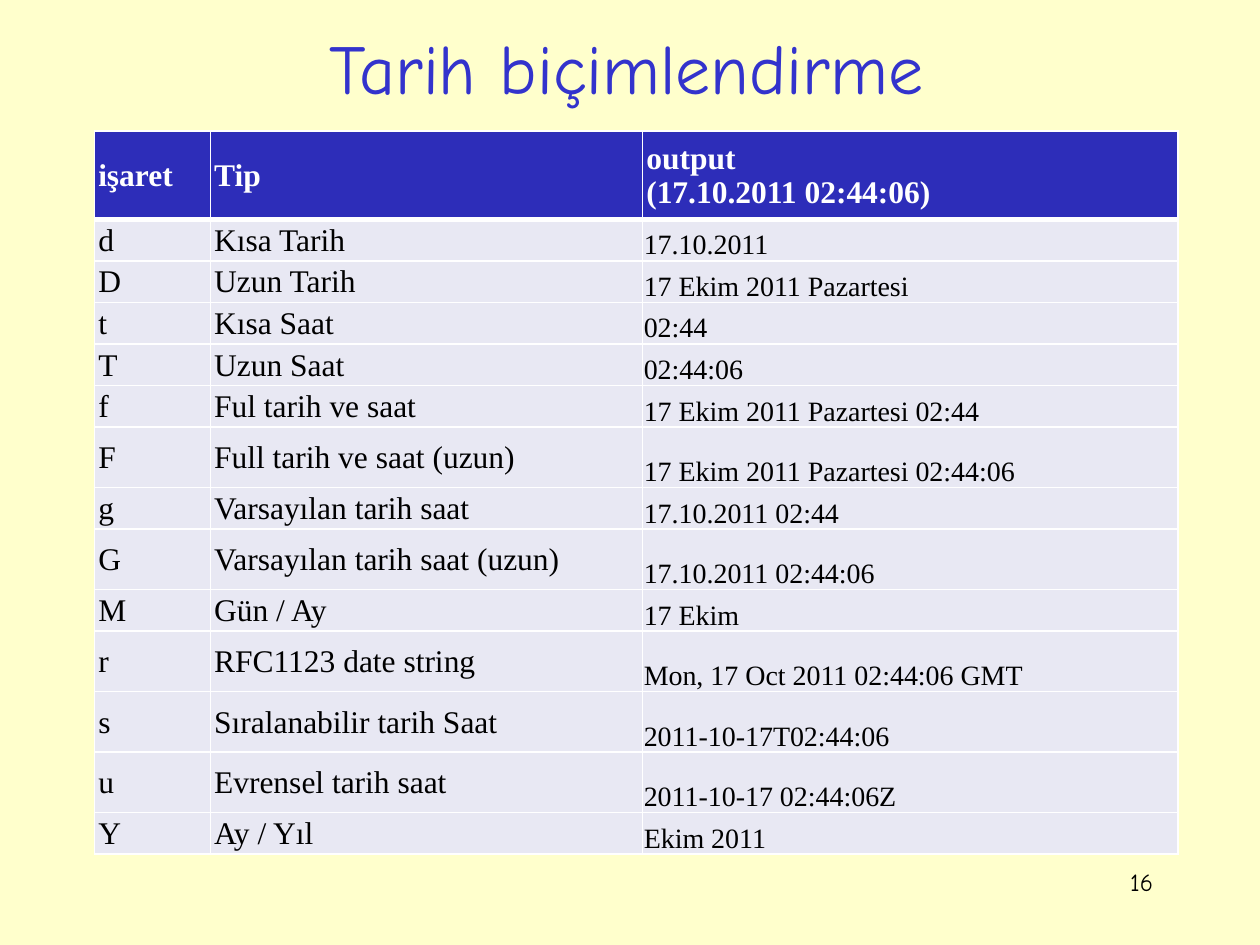
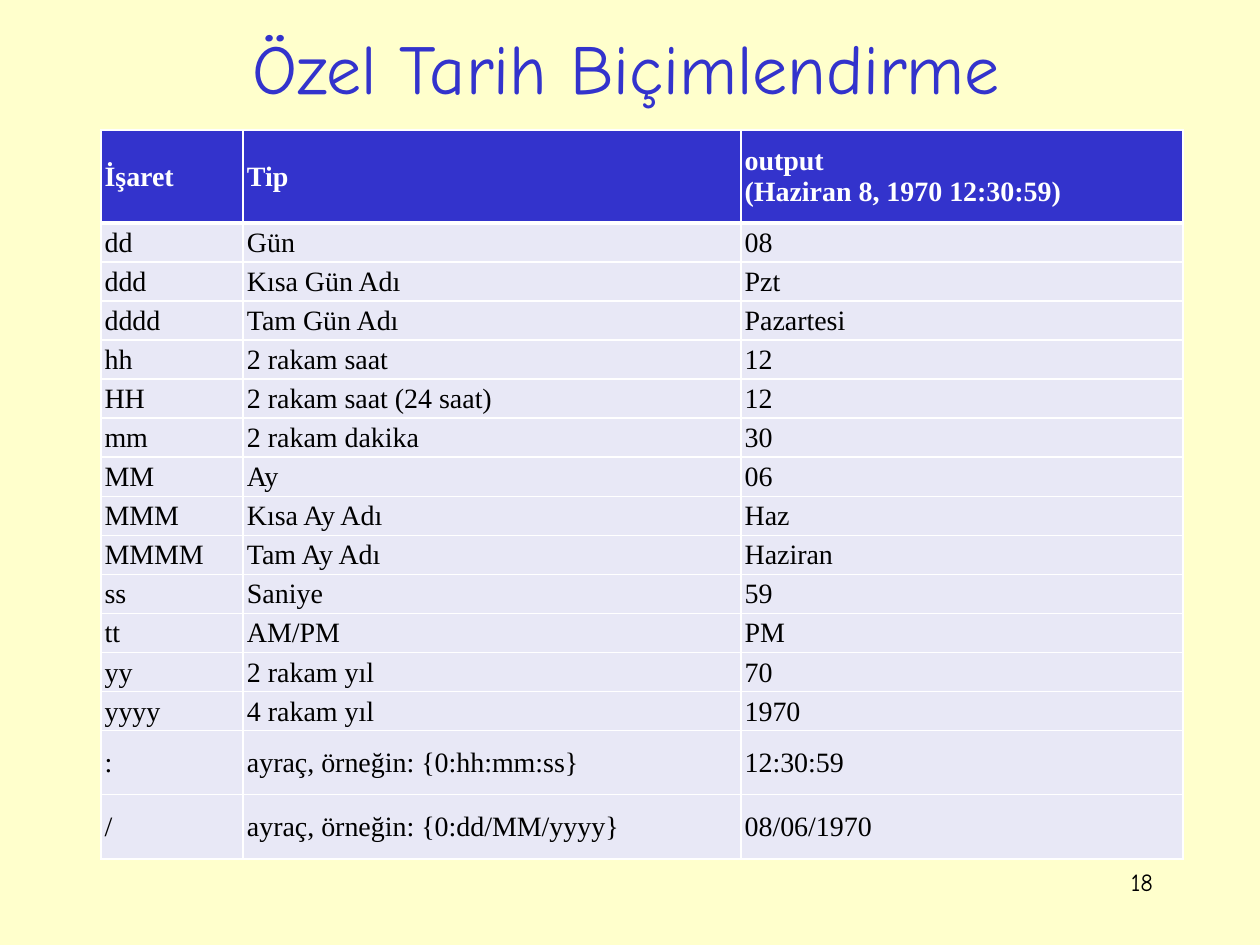
"""Build two slides of date format tables that share one title and table style."""
import dataclasses
import typing

import lxml.etree
import pptx
import pptx.dml.color
import pptx.enum.text
import pptx.oxml.ns
import pptx.presentation
import pptx.slide
import pptx.table
import pptx.text.text
import pptx.util

Inches = pptx.util.Inches
Pt = pptx.util.Pt
RGBColor = pptx.dml.color.RGBColor
Align = pptx.enum.text.PP_ALIGN
Anchor = pptx.enum.text.MSO_ANCHOR

CREAM = RGBColor(0xFF, 0xFF, 0xCC)
BLUE = RGBColor(0x33, 0x33, 0xCC)
DEEP_BLUE = RGBColor(0x2D, 0x2D, 0xB9)
PALE_BLUE = RGBColor(0xE8, 0xE8, 0xF6)
PALE_GREY = RGBColor(0xE8, 0xE8, 0xF3)
WHITE = RGBColor(0xFF, 0xFF, 0xFF)
BLACK = RGBColor(0x00, 0x00, 0x00)
HEADING_FONT = "Comic Neue"
TABLE_FONT = "Times New Roman"
THIN, THICK = 1, 3


@dataclasses.dataclass(frozen=True)
class TextStyle:
    """Font settings of a run."""
    font: str
    size: int
    color: RGBColor
    bold: bool = False


@dataclasses.dataclass(frozen=True)
class CellLayout:
    """Vertical anchor and left, top, right, bottom margins in inches."""
    anchor: Anchor
    margins: tuple[float, float, float, float]


@dataclasses.dataclass(frozen=True)
class TextBox:
    """Place and style of a text that every slide has."""
    left: float
    top: float
    width: float
    height: float
    align: Align
    anchor: Anchor
    style: TextStyle


@dataclasses.dataclass(frozen=True)
class FormatTable:
    """A table of format signs, with its place, colours and row heights."""
    left: float
    top: float
    widths: tuple[float, ...]
    header_height: float
    row_height: float
    tall_height: float
    tall_signs: str
    header_fill: RGBColor
    body_fill: RGBColor
    size: int
    output_size: int
    output_layout: CellLayout
    rows: tuple[tuple[str, str, str], ...]

    def heights(self) -> list[float]:
        """Return the height of every row, the header first."""
        body = [self.tall_height if sign in self.tall_signs else self.row_height
                for sign, _, _ in self.rows[1:]]
        return [self.header_height, *body]


@dataclasses.dataclass(frozen=True)
class FormatPage:
    """One slide: its title, its number and its table."""
    title: str
    number: str
    table: FormatTable


TITLE = TextBox(0.72, 0.15, 8.5, 0.76, Align.CENTER, Anchor.MIDDLE,
                TextStyle(HEADING_FONT, 40, BLUE))
PAGE_NUMBER = TextBox(7.17, 6.83, 2.08, 0.5, Align.RIGHT, Anchor.TOP,
                      TextStyle(HEADING_FONT, 14, BLACK))
PADDED = CellLayout(Anchor.MIDDLE, (0.03, 0.02, 0.03, 0.01))
TIGHT = CellLayout(Anchor.BOTTOM, (0.01, 0.01, 0.01, 0))

STANDARD_FORMATS = FormatTable(
    0.75, 1.04, (0.92, 3.43, 4.25), 0.7, 0.26, 0.48, "FGrsu",
    DEEP_BLUE, PALE_GREY, 18, 16, TIGHT, (
        ("işaret", "Tip", "output\n(17.10.2011 02:44:06)"),
        ("d", "Kısa Tarih", "17.10.2011"),
        ("D", "Uzun Tarih", "17 Ekim 2011 Pazartesi"),
        ("t", "Kısa Saat", "02:44"),
        ("T", "Uzun Saat", "02:44:06"),
        ("f", "Ful tarih ve saat", "17 Ekim 2011 Pazartesi 02:44"),
        ("F", "Full tarih ve saat (uzun)", "17 Ekim 2011 Pazartesi 02:44:06"),
        ("g", "Varsayılan tarih saat", "17.10.2011 02:44"),
        ("G", "Varsayılan tarih saat (uzun)", "17.10.2011 02:44:06"),
        ("M", "Gün / Ay", "17 Ekim"),
        ("r", "RFC1123 date string", "Mon, 17 Oct 2011 02:44:06 GMT"),
        ("s", "Sıralanabilir tarih Saat", "2011-10-17T02:44:06"),
        ("u", "Evrensel tarih saat", "2011-10-17 02:44:06Z"),
        ("Y", "Ay / Yıl", "Ekim 2011"),
    ))
CUSTOM_FORMATS = FormatTable(
    0.8, 1.03, (1.13, 3.95, 3.51), 0.74, 0.31, 0.51, ":/",
    BLUE, PALE_BLUE, 16, 16, PADDED, (
        ("İşaret", "Tip", "output\n(Haziran 8, 1970 12:30:59)"),
        ("dd", "Gün", "08"),
        ("ddd", "Kısa Gün Adı", "Pzt"),
        ("dddd", "Tam Gün Adı", "Pazartesi"),
        ("hh", "2 rakam saat", "12"),
        ("HH", "2 rakam saat (24 saat)", "12"),
        ("mm", "2 rakam dakika", "30"),
        ("MM", "Ay", "06"),
        ("MMM", "Kısa Ay Adı", "Haz"),
        ("MMMM", "Tam Ay Adı", "Haziran"),
        ("ss", "Saniye", "59"),
        ("tt", "AM/PM", "PM"),
        ("yy", "2 rakam yıl", "70"),
        ("yyyy", "4 rakam yıl", "1970"),
        (":", "ayraç, örneğin: {0:hh:mm:ss}", "12:30:59"),
        ("/", "ayraç, örneğin: {0:dd/MM/yyyy}", "08/06/1970"),
    ))
PAGES = (
    FormatPage("Tarih biçimlendirme", "16", STANDARD_FORMATS),
    FormatPage("Özel Tarih Biçimlendirme", "18", CUSTOM_FORMATS),
)


def write_text(frame: pptx.text.text.TextFrame, text: str, style: TextStyle,
               align: Align = Align.LEFT) -> None:
    """Write the lines of a text as styled runs of one paragraph."""
    para = frame.paragraphs[0]
    para.alignment = align
    for index, line in enumerate(text.split("\n")):
        if index:
            para.add_line_break()
        span = para.add_run()
        span.text = line
        span.font.name = style.font
        span.font.size = Pt(style.size)
        span.font.bold = style.bold
        span.font.color.rgb = style.color


def add_text(page: pptx.slide.Slide, place: TextBox, text: str) -> None:
    """Add a text box at its shared place."""
    box = page.shapes.add_textbox(Inches(place.left), Inches(place.top),
                                  Inches(place.width), Inches(place.height))
    frame = box.text_frame
    frame.word_wrap = True
    frame.vertical_anchor = place.anchor
    write_text(frame, text, place.style, place.align)


def set_borders(cell: typing.Any, top: int, bottom: int) -> None:
    """Give a cell white borders, with the top and bottom widths in points."""
    properties = cell._tc.get_or_add_tcPr()
    widths = {"a:lnL": THIN, "a:lnR": THIN, "a:lnT": top, "a:lnB": bottom}
    for index, (tag, width) in enumerate(widths.items()):
        line = lxml.etree.Element(pptx.oxml.ns.qn(tag), w=str(Pt(width)))
        fill = lxml.etree.SubElement(line, pptx.oxml.ns.qn("a:solidFill"))
        lxml.etree.SubElement(fill, pptx.oxml.ns.qn("a:srgbClr"), val=str(WHITE))
        properties.insert(index, line)


def fill_cell(cell: typing.Any, text: str, style: TextStyle,
              layout: CellLayout, color: RGBColor) -> None:
    """Set the text, the margins and the fill of a cell."""
    cell.vertical_anchor = layout.anchor
    (cell.margin_left, cell.margin_top,
     cell.margin_right, cell.margin_bottom) = map(Inches, layout.margins)
    cell.fill.solid()
    cell.fill.fore_color.rgb = color
    write_text(cell.text_frame, text, style)


def add_format_table(page: pptx.slide.Slide, formats: FormatTable) -> None:
    """Draw a table of format signs."""
    heights = formats.heights()
    table = page.shapes.add_table(
        len(formats.rows), len(formats.widths),
        Inches(formats.left), Inches(formats.top),
        Inches(sum(formats.widths)), Inches(sum(heights))).table
    table.first_row = False
    table.horz_banding = False
    for column, width in zip(table.columns, formats.widths):
        column.width = Inches(width)
    for row, height in zip(table.rows, heights):
        row.height = Inches(height)

    header = TextStyle(TABLE_FONT, formats.size, WHITE, True)
    body = TextStyle(TABLE_FONT, formats.size, BLACK)
    output = TextStyle(TABLE_FONT, formats.output_size, BLACK)
    columns = ((body, PADDED), (body, PADDED), (output, formats.output_layout))
    for row_index, texts in enumerate(formats.rows):
        for column_index, text in enumerate(texts):
            cell = table.cell(row_index, column_index)
            if row_index == 0:
                fill_cell(cell, text, header, PADDED, formats.header_fill)
            else:
                style, layout = columns[column_index]
                fill_cell(cell, text, style, layout, formats.body_fill)
            set_borders(cell, THICK if row_index == 1 else THIN,
                        THICK if row_index == 0 else THIN)


def add_page(deck: pptx.presentation.Presentation, content: FormatPage) -> None:
    """Add a slide with its title, number and table."""
    page = deck.slides.add_slide(deck.slide_layouts[6])
    page.background.fill.solid()
    page.background.fill.fore_color.rgb = CREAM
    add_text(page, TITLE, content.title)
    add_text(page, PAGE_NUMBER, content.number)
    add_format_table(page, content.table)


def main() -> None:
    """Build and save the deck."""
    deck = pptx.Presentation()
    deck.slide_width = Inches(10)
    deck.slide_height = Inches(7.5)
    for content in PAGES:
        add_page(deck, content)
    deck.save("out.pptx")


if __name__ == "__main__":
    main()
